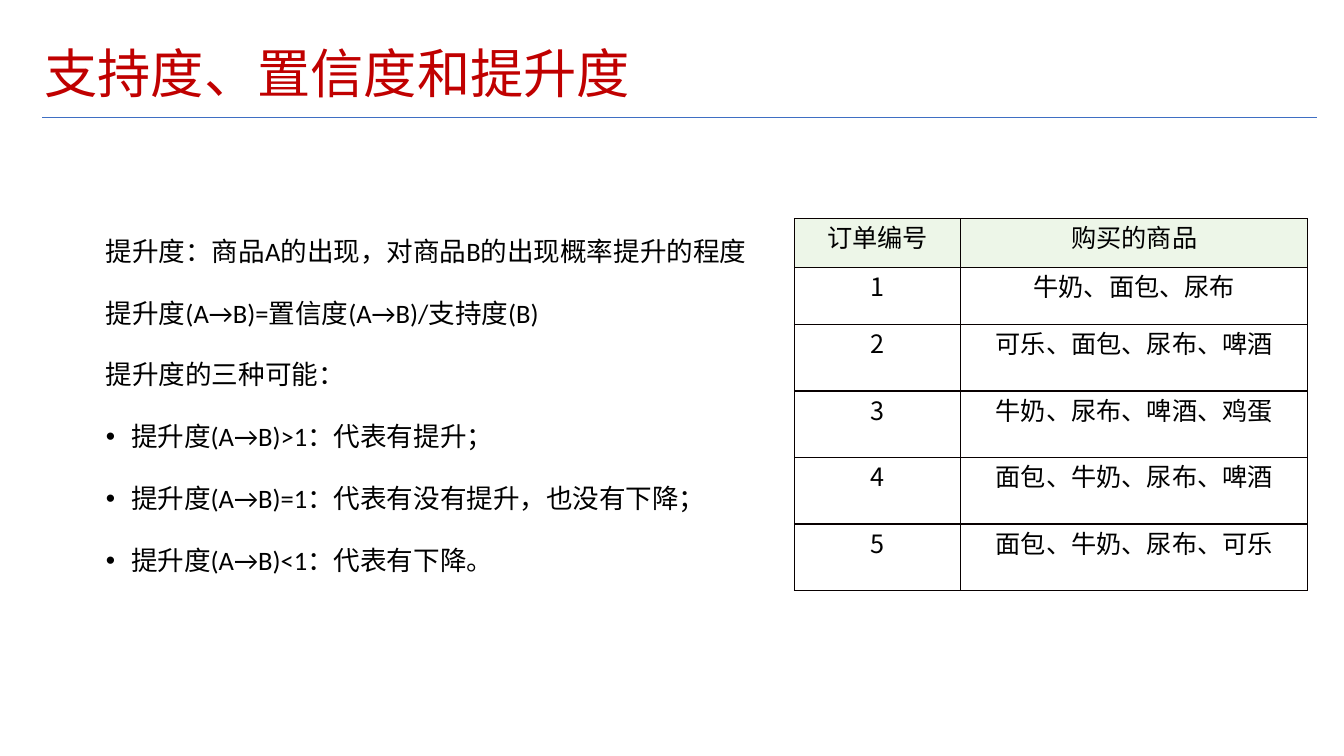
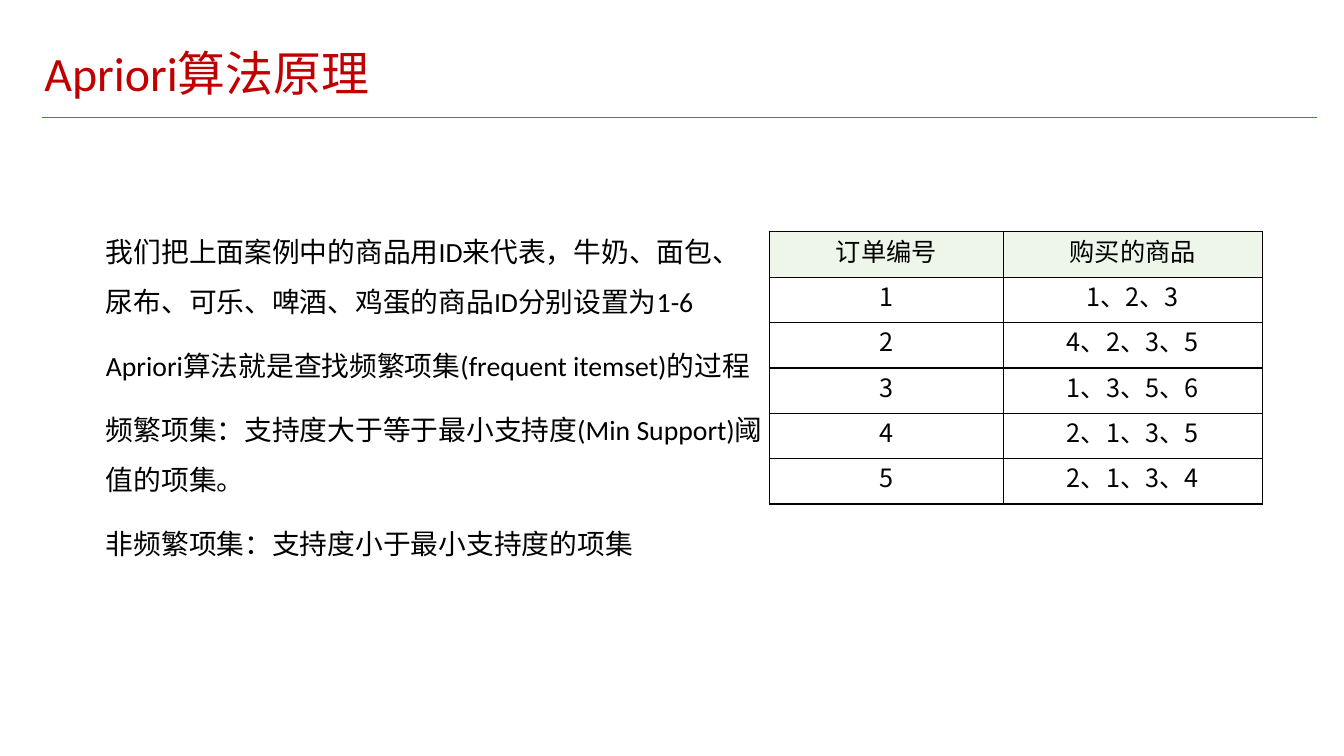
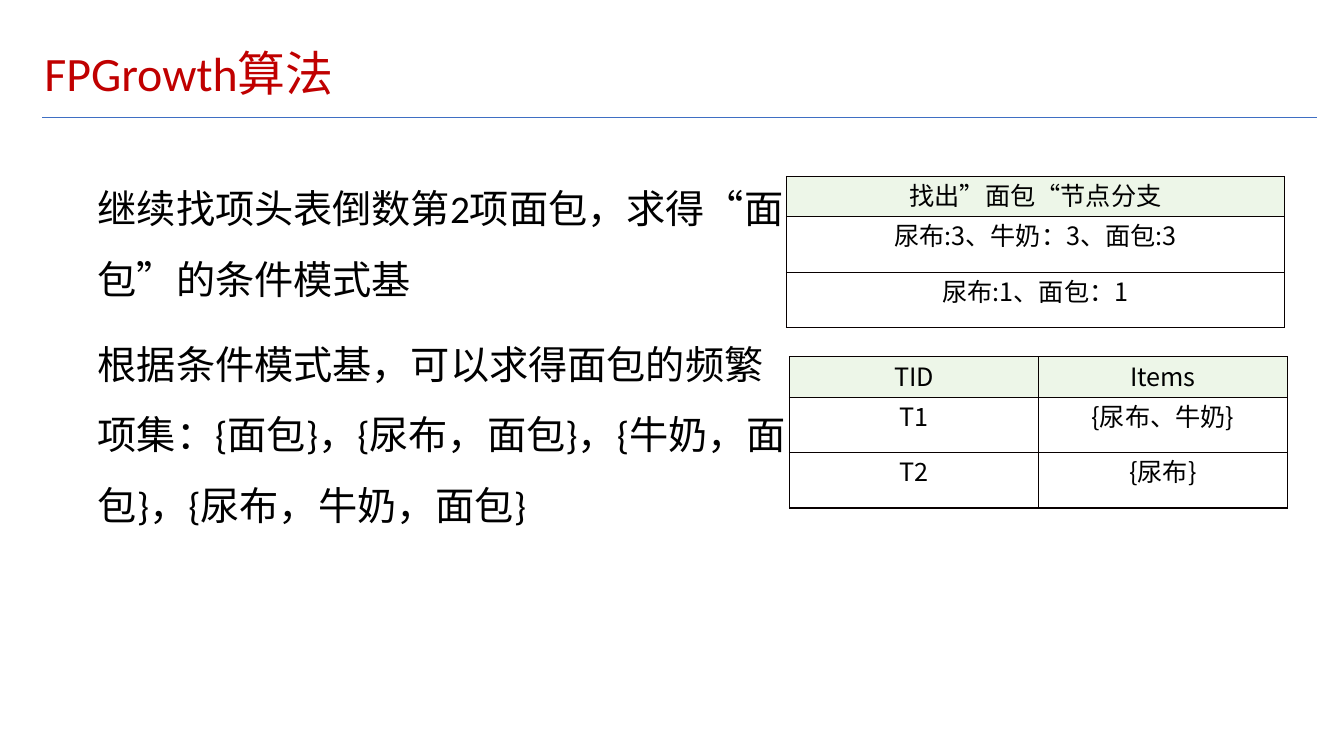
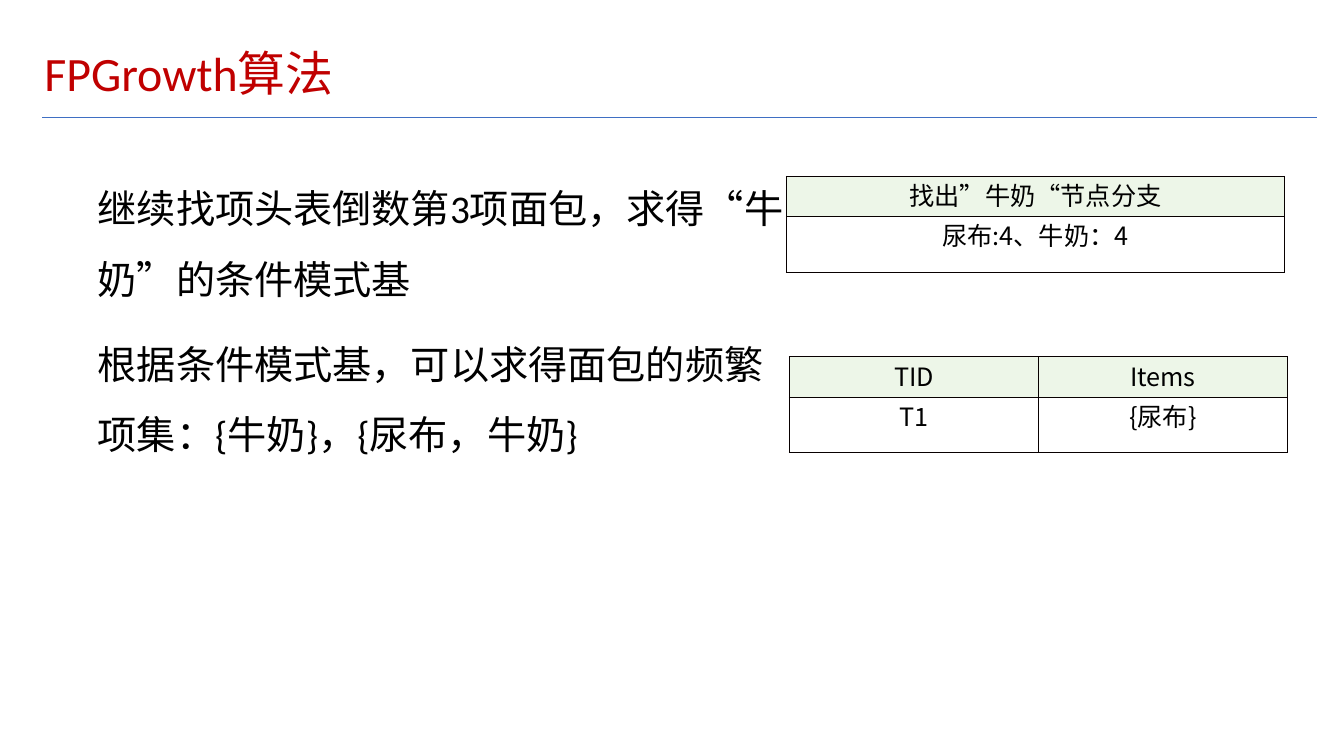
"""Build four slides on association rules: text on the left, tables on the right."""
import lxml.etree
import pptx
import pptx.dml.color
import pptx.enum.lang
import pptx.enum.shapes
import pptx.enum.text
import pptx.oxml.ns
import pptx.util

WIDTH, HEIGHT = 13.33, 7.5
RED, BLUE, BLACK, BORDER, PALE_GREEN = "C00000", "3F6FC3", "000000", "080000", "EDF6E8"
LATIN, CHINESE = "Calibri", "Noto Sans CJK SC"
LEFT = pptx.enum.text.PP_ALIGN.LEFT
CENTER = pptx.enum.text.PP_ALIGN.CENTER
TITLE_BOX = (0.39, 0.4, 11.13, 0.71)
RULE = (0.42, 1.17, 13.06, 1.17)
UPPER_BODY = (0.92, 1.55, 6.96, 5.47)
LOWER_BODY = (1, 2.12, 6.63, 3.84)
BRANCH_AT, ITEMS_AT = (7.8, 1.75), (7.83, 3.54)
BRANCH_COLUMNS, ITEMS_COLUMNS = [4.94], [2.47, 2.47]
HEADER_ROW, BODY_ROW = 0.4, 0.55
BULLET = "•"

SLIDES = [
    {
        "title": "支持度、置信度和提升度", "title_size": 38,
        "body_box": LOWER_BODY, "body_size": 19,
        "body": [
            "提升度：商品A的出现，对商品B的出现概率提升的程度",
            "提升度(A→B)=置信度(A→B)/支持度(B)",
            "提升度的三种可能：",
            BULLET + "提升度(A→B)>1：代表有提升；",
            BULLET + "提升度(A→B)=1：代表有没有提升，也没有下降；",
            BULLET + "提升度(A→B)<1：代表有下降。",
        ],
        "tables": [((7.88, 2.17), [1.65, 3.44], [0.48, 0.57] + [0.66] * 4, [
            ("订单编号", "购买的商品"),
            ("1", "牛奶、面包、尿布"),
            ("2", "可乐、面包、尿布、啤酒"),
            ("3", "牛奶、尿布、啤酒、鸡蛋"),
            ("4", "面包、牛奶、尿布、啤酒"),
            ("5", "面包、牛奶、尿布、可乐"),
        ])],
    },
    {
        "title": "Apriori算法原理", "title_size": 34.2,
        "body_box": LOWER_BODY, "body_size": 19.8,
        "body": [
            "我们把上面案例中的商品用ID来代表，牛奶、面包、尿布、可乐、啤酒、鸡蛋的商品ID分别设置为1-6",
            "Apriori算法就是查找频繁项集(frequent itemset)的过程",
            "频繁项集：支持度大于等于最小支持度(Min Support)阈值的项集。",
            "非频繁项集：支持度小于最小支持度的项集",
        ],
        "tables": [((7.63, 2.3), [2.32, 2.57], [0.45] * 6, [
            ("订单编号", "购买的商品"),
            ("1", "1、2、3"),
            ("2", "4、2、3、5"),
            ("3", "1、3、5、6"),
            ("4", "2、1、3、5"),
            ("5", "2、1、3、4"),
        ])],
    },
    {
        "title": "FPGrowth算法", "title_size": 34.2,
        "body_box": UPPER_BODY, "body_size": 28,
        "body": [
            "继续找项头表倒数第2项面包，求得“面包”的条件模式基",
            "根据条件模式基，可以求得面包的频繁项集：{面包}，{尿布，面包}，{牛奶，面包}，{尿布，牛奶，面包}",
        ],
        "tables": [
            (BRANCH_AT, BRANCH_COLUMNS, [HEADER_ROW] + [BODY_ROW] * 2, [
                ("找出”面包“节点分支",), ("尿布:3、牛奶：3、面包:3",), ("尿布:1、面包：1",),
            ]),
            (ITEMS_AT, ITEMS_COLUMNS, [HEADER_ROW] + [BODY_ROW] * 2, [
                ("TID", "Items"), ("T1", "{尿布、牛奶}"), ("T2", "{尿布}"),
            ]),
        ],
    },
    {
        "title": "FPGrowth算法", "title_size": 34.2,
        "body_box": UPPER_BODY, "body_size": 28,
        "body": [
            "继续找项头表倒数第3项面包，求得“牛奶”的条件模式基",
            "根据条件模式基，可以求得面包的频繁项集：{牛奶}，{尿布，牛奶}",
        ],
        "tables": [
            (BRANCH_AT, BRANCH_COLUMNS, [HEADER_ROW, BODY_ROW], [
                ("找出”牛奶“节点分支",), ("尿布:4、牛奶：4",),
            ]),
            (ITEMS_AT, ITEMS_COLUMNS, [HEADER_ROW, BODY_ROW], [
                ("TID", "Items"), ("T1", "{尿布}"),
            ]),
        ],
    },
]


def inches(values):
    return [pptx.util.Inches(value) for value in values]


def color(value):
    return pptx.dml.color.RGBColor.from_string(value)


def add_xml(parent, tag, **attributes):
    return lxml.etree.SubElement(parent, pptx.oxml.ns.qn(tag), attributes)


def write(paragraph, text, size, font=LATIN, ink=BLACK, align=LEFT, spacing=1.0, before=0):
    paragraph.alignment = align
    paragraph.line_spacing = spacing
    paragraph.space_before = pptx.util.Pt(before)
    if text.startswith(BULLET):
        indent = pptx.util.Inches(0.25)
        properties = paragraph._p.get_or_add_pPr()
        properties.set("marL", str(indent))
        properties.set("indent", str(-indent))
        add_xml(properties, "a:buFont", typeface="Arial")
        add_xml(properties, "a:buChar", char=BULLET)
    run = paragraph.add_run()
    run.text = text.removeprefix(BULLET)
    run.font.size = pptx.util.Pt(size)
    run.font.name = font
    run.font.color.rgb = color(ink)
    run.font.language_id = pptx.enum.lang.MSO_LANGUAGE_ID.SIMPLIFIED_CHINESE
    add_xml(run.font._element, "a:ea", typeface=CHINESE)


def set_frame(frame, anchor):
    frame.word_wrap = True
    frame.auto_size = pptx.enum.text.MSO_AUTO_SIZE.NONE
    frame.vertical_anchor = anchor
    frame.margin_left = frame.margin_right = pptx.util.Inches(0.05)
    frame.margin_top = frame.margin_bottom = pptx.util.Inches(0.05)


def add_heading(slide, text, size):
    title = slide.shapes.title
    title.left, title.top, title.width, title.height = inches(TITLE_BOX)
    set_frame(title.text_frame, pptx.enum.text.MSO_ANCHOR.MIDDLE)
    write(title.text_frame.paragraphs[0], text, size, ink=RED, spacing=0.9)
    rule = slide.shapes.add_connector(
        pptx.enum.shapes.MSO_CONNECTOR.STRAIGHT, *inches(RULE))
    rule.line.color.rgb = color(BLUE)
    rule.line.width = pptx.util.Pt(0.75)
    add_xml(rule._element.spPr, "a:effectLst")


def add_body(slide, box, lines, size):
    frame = slide.shapes.add_textbox(*inches(box)).text_frame
    set_frame(frame, pptx.enum.text.MSO_ANCHOR.TOP)
    for index, line in enumerate(lines):
        paragraph = frame.add_paragraph() if index else frame.paragraphs[0]
        write(paragraph, line, size, spacing=1.5, before=10)


def format_cell(cell, text, is_header):
    cell.margin_left = cell.margin_right = pptx.util.Inches(0.01)
    cell.margin_top = cell.margin_bottom = 0
    properties = cell._tc.get_or_add_tcPr()
    for side in ("a:lnL", "a:lnR", "a:lnT", "a:lnB"):
        border = add_xml(properties, side, w=str(pptx.util.Pt(1)))
        add_xml(add_xml(border, "a:solidFill"), "a:srgbClr", val=BORDER)
    if is_header:
        cell.fill.solid()
        cell.fill.fore_color.rgb = color(PALE_GREEN)
    else:
        cell.fill.background()
    write(cell.text_frame.paragraphs[0], text, 18, font=CHINESE, align=CENTER)


def add_grid(slide, position, columns, heights, rows):
    box = inches((*position, sum(columns), sum(heights)))
    table = slide.shapes.add_table(len(heights), len(columns), *box).table
    table.first_row = table.horz_banding = False
    for column, width in zip(table.columns, inches(columns)):
        column.width = width
    for row, height in zip(table.rows, inches(heights)):
        row.height = height
    for row_index, row in enumerate(rows):
        for column_index, text in enumerate(row):
            format_cell(table.cell(row_index, column_index), text, row_index == 0)


def main():
    presentation = pptx.Presentation()
    presentation.slide_width, presentation.slide_height = inches((WIDTH, HEIGHT))
    title_only = presentation.slide_layouts[5]
    for content in SLIDES:
        slide = presentation.slides.add_slide(title_only)
        add_heading(slide, content["title"], content["title_size"])
        add_body(slide, content["body_box"], content["body"], content["body_size"])
        for table in content["tables"]:
            add_grid(slide, *table)
    presentation.save("out.pptx")


if __name__ == "__main__":
    main()
